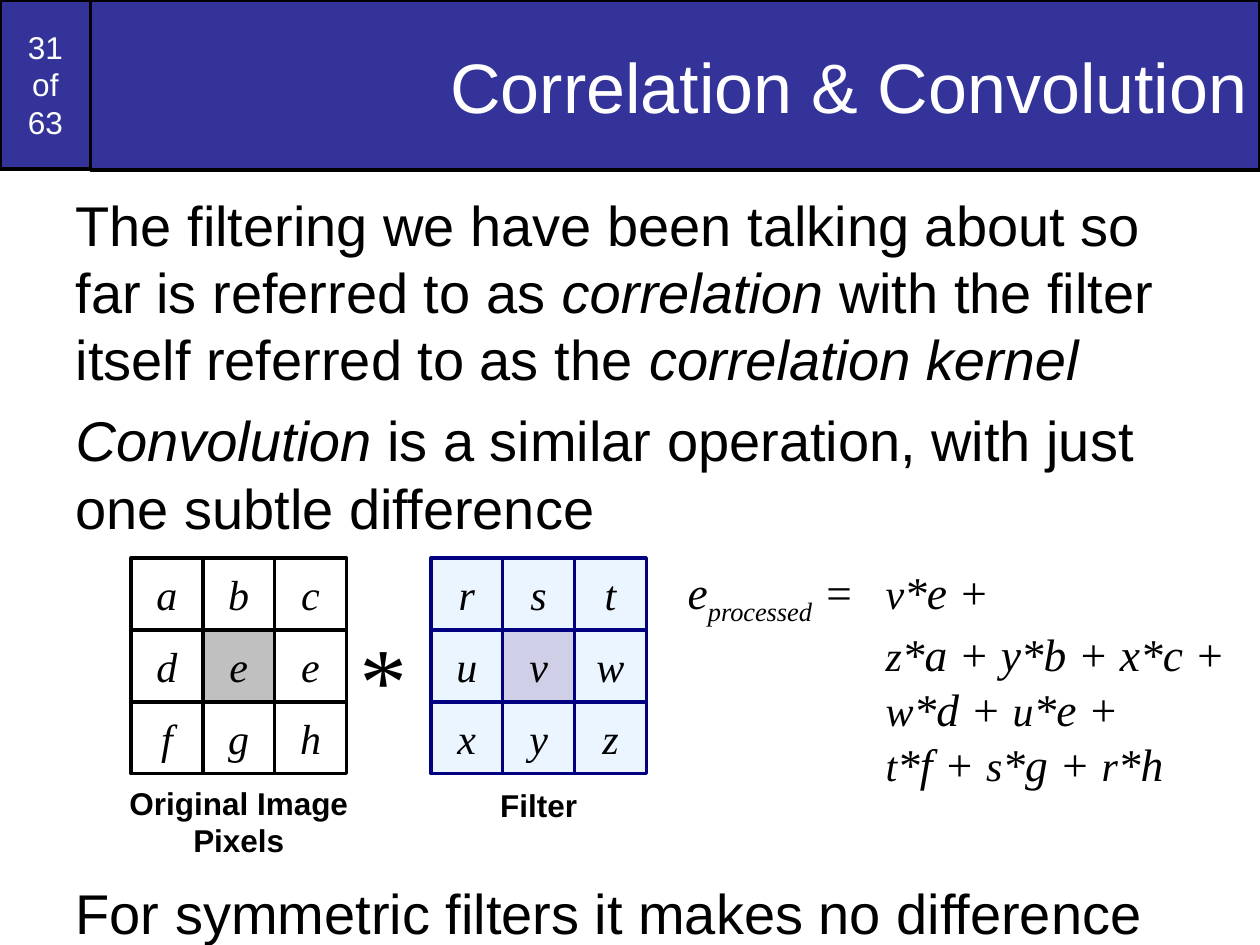
from lxml import etree
from pptx import Presentation
from pptx.dml.color import RGBColor
from pptx.enum.shapes import MSO_SHAPE
from pptx.enum.text import MSO_ANCHOR, MSO_AUTO_SIZE, PP_ALIGN
from pptx.oxml.ns import qn
from pptx.util import Inches, Pt

RECT = MSO_SHAPE.RECTANGLE
MIDDLE = MSO_ANCHOR.MIDDLE
CENTER, RIGHT, LEFT = PP_ALIGN.CENTER, PP_ALIGN.RIGHT, PP_ALIGN.LEFT

BLACK = RGBColor(0x00, 0x00, 0x00)
WHITE = RGBColor(0xFF, 0xFF, 0xFF)
INDIGO = RGBColor(0x33, 0x33, 0x99)
NAVY = RGBColor(0x00, 0x00, 0x80)
SKY = RGBColor(0x99, 0xCC, 0xFF)
GREY = RGBColor(0xC0, 0xC0, 0xC0)
SANS, SERIF = "Arial", "Times New Roman"

TITLE = "Correlation & Convolution"
PAGE = "31\vof\v63"
# Each paragraph: space before in points, then (text, italic) runs
BODY = [
    (8, [("The filtering we have been talking about so far is referred to as ", False),
         ("correlation ", True),
         ("with the filter itself referred to as the ", False),
         ("correlation kernel", True)]),
    (8, [("Convolution", True),
         (" is a similar operation, with just one subtle difference", False)]),
    (193, [("For symmetric filters it makes no difference", False)]),
]
GRIDS = [
    dict(letters="rstuvwxyz", left=3.42, fill=SKY, centre_fill=NAVY, line=NAVY,
         opacity=19, caption="Filter", caption_top=6.19, caption_height=0.4),
    dict(letters="abcdeefgh", left=1.04, fill=WHITE, centre_fill=GREY, line=BLACK,
         opacity=100, caption="Original Image Pixels", caption_top=6.17,
         caption_height=0.7),
]
GRID_TOP, CELL, COLUMNS, CAPTION_WIDTH = 4.43, 0.57, 3, 1.99
# Lines of (text, size) runs; the subscript stands second in the first line
EQUATION = [
    [("e", 26), ("processed", 26), (" = \t", 26), ("v", 24), ("*e + ", 26)],
    [("\t", 26), ("z", 24), ("*a + y*b + x*c + ", 26)],
    [("\t", 26), ("w", 24), ("*d + ", 26), ("u", 24), ("*e + ", 26)],
    [("\t", 26), ("t", 24), ("*f + ", 26), ("s", 24), ("*g + ", 26),
     ("r", 24), ("*h", 26)],
]
SUBSCRIPT = "processed"
EQUATION_TAB = 1.57


def place(shape, left, top, width, height):
    shape.left, shape.top = Inches(left), Inches(top)
    shape.width, shape.height = Inches(width), Inches(height)


def style(paragraph, size, font=SANS, color=BLACK, align=CENTER, bold=False, italic=False):
    paragraph.alignment = align
    paragraph.font.name = font
    paragraph.font.size = Pt(size)
    paragraph.font.color.rgb = color
    paragraph.font.bold = bold
    paragraph.font.italic = italic


def paint(shape, fill, line, opacity=100):
    shape.fill.solid()
    shape.fill.fore_color.rgb = fill
    shape.line.color.rgb = line
    shape.line.width = Pt(2)
    if opacity < 100:
        color = shape.fill._xPr.find(qn("a:solidFill"))[0]
        etree.SubElement(color, qn("a:alpha")).set("val", str(opacity * 1000))


def add_box(shapes, text, at, fill, line, opacity=100, **font):
    box = shapes.add_shape(RECT, *map(Inches, at))
    box.shadow.inherit = False
    paint(box, fill, line, opacity)
    box.text_frame.vertical_anchor = MIDDLE
    box.text_frame.text = text
    style(box.text_frame.paragraphs[0], **font)
    return box


def add_label(shapes, text, at, wrap=True, **font):
    frame = shapes.add_textbox(*map(Inches, at)).text_frame
    frame.word_wrap = wrap
    frame.text = text
    style(frame.paragraphs[0], **font)
    return frame


def add_grid(slide, grid):
    shapes = slide.shapes.add_group_shape().shapes
    middle = len(grid["letters"]) // 2
    for index, letter in enumerate(grid["letters"]):
        row, column = divmod(index, COLUMNS)
        at = (grid["left"] + column * CELL, GRID_TOP + row * CELL, CELL, CELL)
        fill = grid["centre_fill"] if index == middle else grid["fill"]
        cell = add_box(shapes, letter, at, fill, grid["line"], grid["opacity"],
                       size=24, font=SERIF, italic=True)
        cell.text_frame.word_wrap = False
    caption_left = grid["left"] + (COLUMNS * CELL - CAPTION_WIDTH) / 2
    add_label(shapes, grid["caption"],
              (caption_left, grid["caption_top"], CAPTION_WIDTH, grid["caption_height"]),
              size=18, bold=True)


def fill_body(body):
    place(body, 0.5, 1.46, 9, 6.27)
    frame = body.text_frame
    frame.auto_size = MSO_AUTO_SIZE.NONE
    for index, (space, runs) in enumerate(BODY):
        paragraph = frame.add_paragraph() if index else frame.paragraphs[0]
        paragraph.space_before = Pt(space)
        properties = paragraph._p.get_or_add_pPr()
        properties.set("marL", "0")
        properties.set("indent", "0")
        etree.SubElement(properties, qn("a:buNone"))
        style(paragraph, 32, align=LEFT)
        for text, italic in runs:
            run = paragraph.add_run()
            run.text = text
            run.font.italic = italic


def add_equation(slide):
    frame = add_label(slide.shapes, "", (5.36, 4.43, 4.56, 1.89), wrap=False,
                      size=26, font=SERIF, align=LEFT, italic=True)
    paragraph = frame.paragraphs[0]
    tabs = etree.Element(qn("a:tabLst"))
    etree.SubElement(tabs, qn("a:tab"), pos=str(Inches(EQUATION_TAB)), algn="l")
    paragraph._p.pPr.find(qn("a:defRPr")).addprevious(tabs)
    for index, line in enumerate(EQUATION):
        if index:
            paragraph.add_line_break()
        for text, size in line:
            run = paragraph.add_run()
            run.text = text
            run.font.size = Pt(size)
            if text == SUBSCRIPT:
                run._r.get_or_add_rPr().set("baseline", "-25000")


def main():
    deck = Presentation()
    deck.slide_width, deck.slide_height = Inches(10), Inches(7.5)
    slide = deck.slides.add_slide(deck.slide_layouts[1])

    title = slide.shapes.title
    place(title, 0.72, 0, 9.28, 1.35)
    paint(title, INDIGO, BLACK)
    title.text_frame.text = TITLE
    title.text_frame.vertical_anchor = MIDDLE
    title.text_frame.auto_size = MSO_AUTO_SIZE.NONE
    style(title.text_frame.paragraphs[0], 40, color=WHITE, align=RIGHT)

    fill_body(slide.placeholders[1])
    add_box(slide.shapes, PAGE, (0, 0, 0.72, 1.34), INDIGO, BLACK, size=18, color=WHITE)
    add_equation(slide)
    for grid in GRIDS:
        add_grid(slide, grid)
    add_label(slide.shapes, "*", (2.72, 4.87, 0.57, 1), wrap=False,
              size=54, font=SERIF, italic=True)
    deck.save("out.pptx")


if __name__ == "__main__":
    main()
